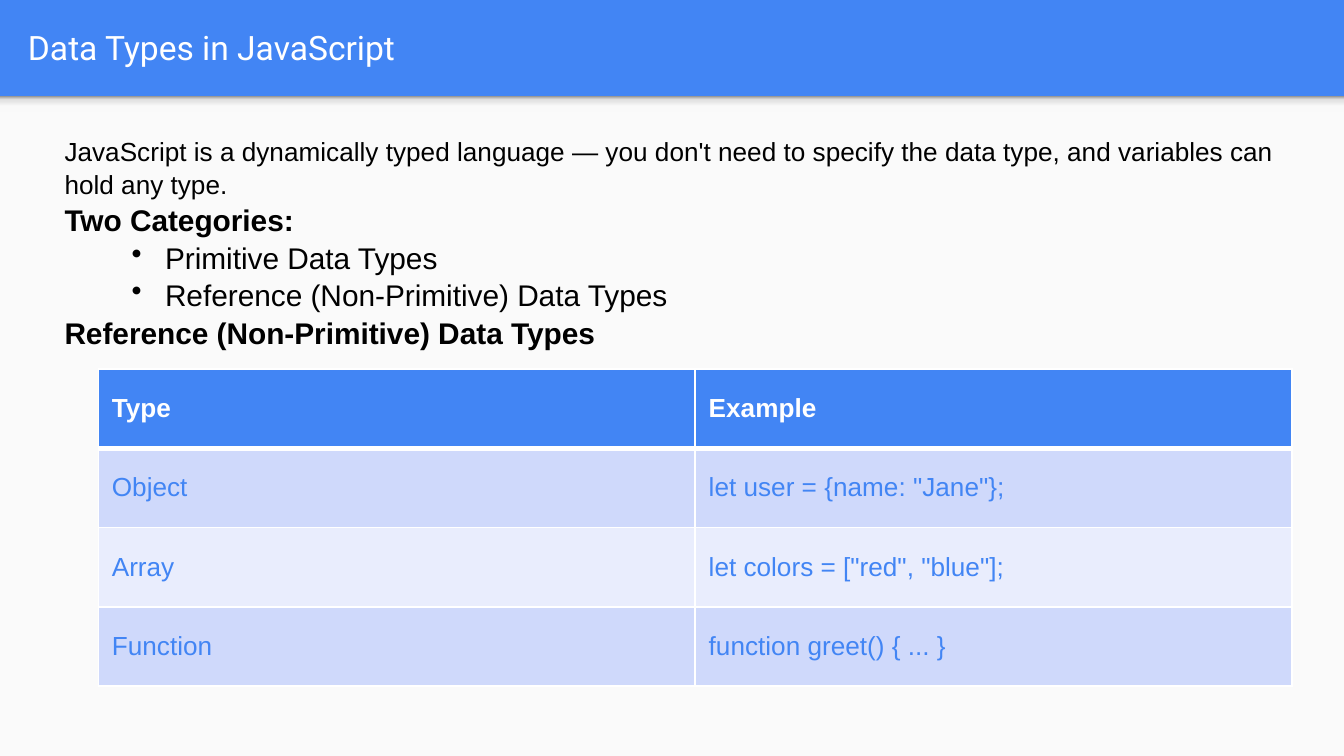
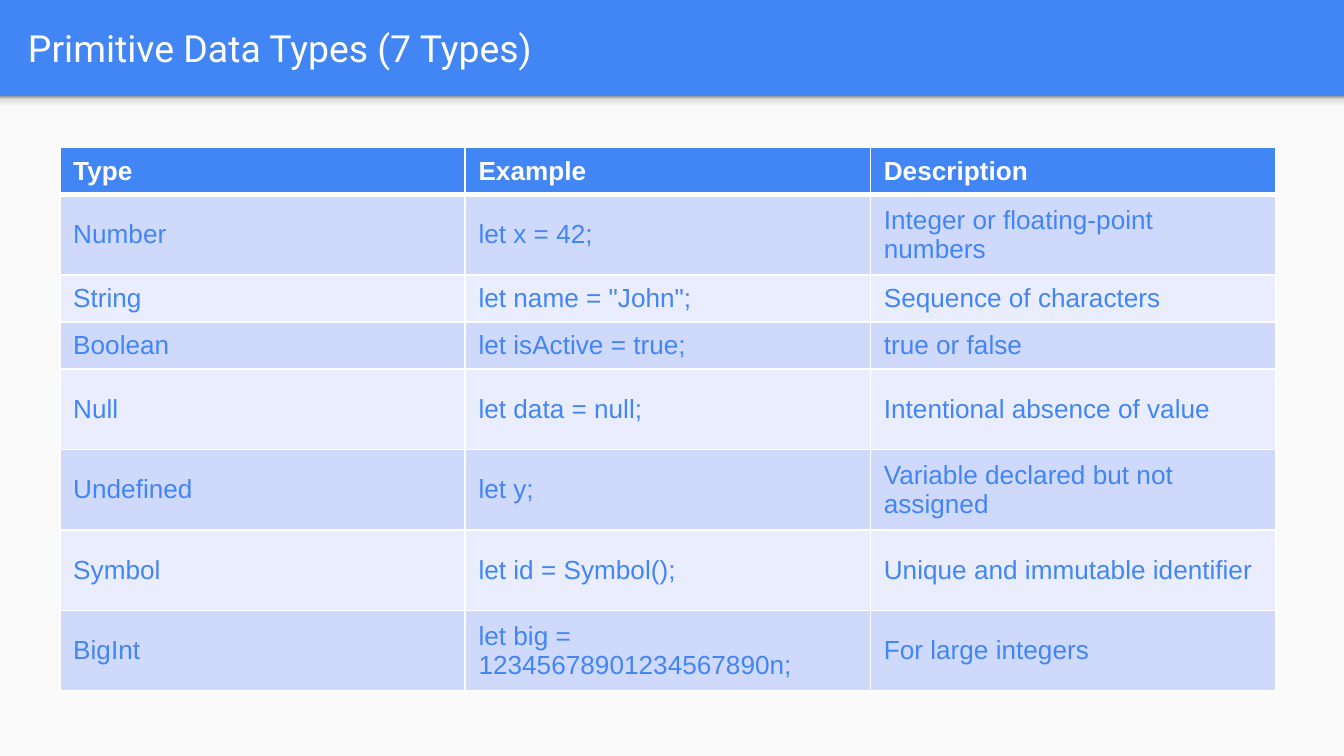
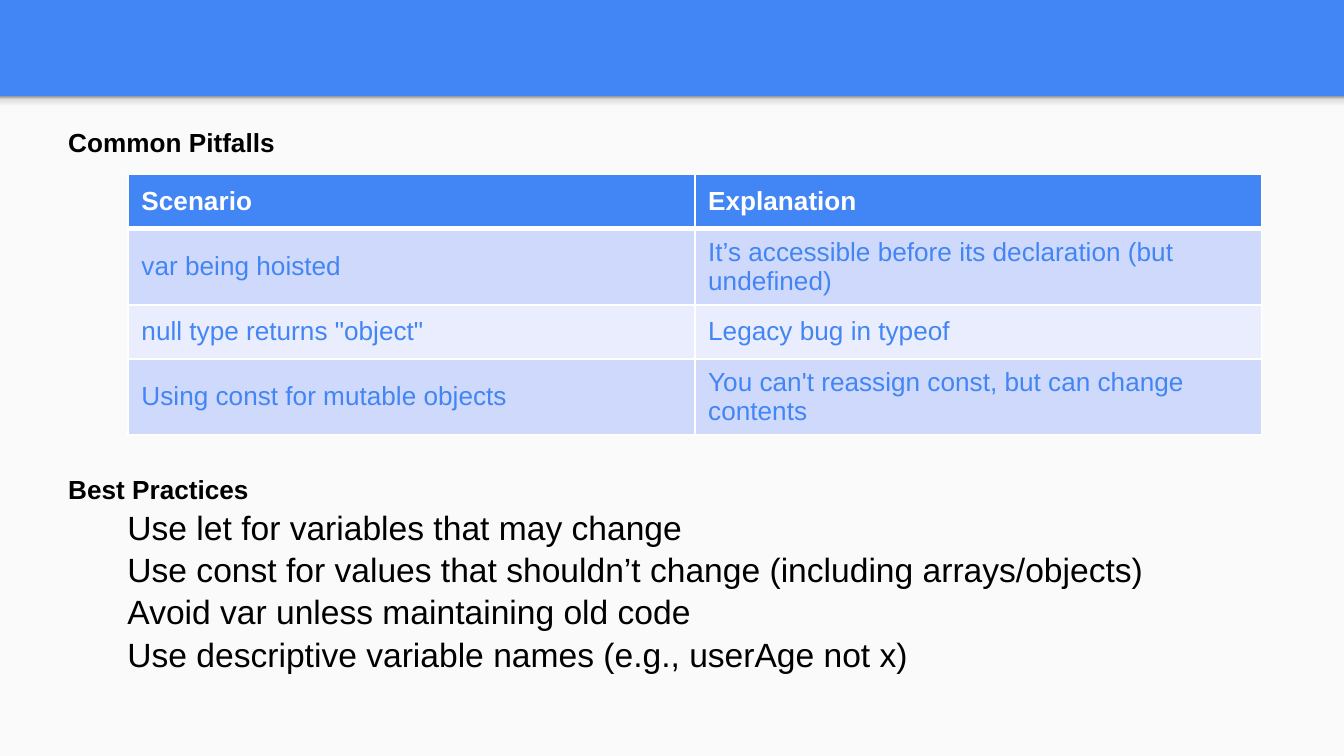
from dataclasses import dataclass

from lxml import etree
from pptx import Presentation
from pptx.dml.color import RGBColor
from pptx.enum.shapes import MSO_SHAPE
from pptx.enum.text import MSO_ANCHOR
from pptx.oxml.ns import qn
from pptx.util import Cm, Pt

RECT = MSO_SHAPE.RECTANGLE
MIDDLE = MSO_ANCHOR.MIDDLE
BLANK = 6


@dataclass(frozen=True)
class Theme:
    blue: str = "4285F4"
    paper: str = "FAFAFA"
    white: str = "FFFFFF"
    black: str = "000000"
    row_fills: tuple[str, str] = ("CFD9FB", "E9EDFD")
    shadow_stops: tuple[tuple[int, str], ...] = (
        (0, "F9F9F9"), (36, "F9F9F9"), (80, "DEDEDE"), (100, "999999"))
    title_font: str = "Roboto"
    body_font: str = "Arial"
    text_size: int = 14
    large_size: int = 16
    list_size: int = 18
    line_spacing: float = 1.05
    thin_border: int = 1
    thick_border: int = 3


THEME = Theme()


@dataclass(frozen=True)
class Box:
    left: float
    top: float
    width: float
    height: float

    def cm(self) -> tuple[Cm, Cm, Cm, Cm]:
        return Cm(self.left), Cm(self.top), Cm(self.width), Cm(self.height)


@dataclass(frozen=True)
class Line:
    text: str
    size: int = THEME.text_size
    bold: bool = False
    indent: float = 0
    hanging: float = 0
    space_before: int = 0


@dataclass(frozen=True)
class Grid:
    left: float
    top: float
    column_width: float
    row_heights: tuple[float, ...]
    rows: tuple[tuple[str, ...], ...]


SLIDE_WIDTH, SLIDE_HEIGHT, BAND_HEIGHT = 25.4, 14.29, 1.82
TITLE_BOX = Box(0.28, 0.05, 24.5, 1.68)
PANEL_BOX = Box(0, BAND_HEIGHT, SLIDE_WIDTH, SLIDE_HEIGHT - BAND_HEIGHT)
SHADOW_BOX = Box(0, BAND_HEIGHT, SLIDE_WIDTH, 0.3)


def apply_format(target, values: dict) -> None:
    for name, value in values.items():
        setattr(target, name, value)


def rgb(color: str) -> RGBColor:
    return RGBColor.from_string(color)


def add_run(p, text: str, size: int, color: str, font: str, bold: bool = False) -> None:
    r = p.add_run()
    r.text = text
    apply_format(r.font, {"size": Pt(size), "name": font, "bold": bold})
    r.font.color.rgb = rgb(color)


def add_rect(s, box: Box):
    sp = s.shapes.add_shape(RECT, *box.cm())
    sp.shadow.inherit = False
    sp.line.fill.background()
    return sp


def add_color(parent, color: str) -> None:
    etree.SubElement(parent, qn("a:srgbClr"), val=color)


def add_frame(s) -> None:
    panel = add_rect(s, PANEL_BOX)
    panel.fill.solid()
    panel.fill.fore_color.rgb = rgb(THEME.paper)

    shadow = add_rect(s, SHADOW_BOX)
    shadow.fill.gradient()
    shadow.fill.gradient_angle = 90
    stops = shadow.element.spPr.find(qn("a:gradFill")).find(qn("a:gsLst"))
    for stop in list(stops):
        stops.remove(stop)
    for percent, color in THEME.shadow_stops:
        add_color(etree.SubElement(stops, qn("a:gs"), pos=str(percent * 1000)), color)


def add_title(s, text: str, size: int) -> None:
    tf = s.shapes.add_textbox(*TITLE_BOX.cm()).text_frame
    sides = ("left", "top", "right", "bottom")
    apply_format(tf, {f"margin_{side}": Cm(0.25) for side in sides})
    apply_format(tf, {"word_wrap": True, "vertical_anchor": MIDDLE})
    add_run(tf.paragraphs[0], text, size, THEME.white, THEME.title_font)


def add_lines(s, box: Box, lines: tuple[Line, ...]) -> None:
    tf = s.shapes.add_textbox(*box.cm()).text_frame
    tf.word_wrap = True
    for i, line in enumerate(lines):
        p = tf.add_paragraph() if i else tf.paragraphs[0]
        if line.indent:
            p.level = 1
            pPr = p._p.get_or_add_pPr()
            pPr.set("marL", str(Cm(line.indent)))
            pPr.set("indent", str(-Cm(line.hanging)))
            if line.hanging:
                add_color(etree.SubElement(pPr, qn("a:buClr")), THEME.black)
                etree.SubElement(pPr, qn("a:buChar"), char="•")
        p.line_spacing = THEME.line_spacing
        if line.space_before:
            p.space_before = Pt(line.space_before)
        add_run(p, line.text, line.size, THEME.black, THEME.body_font, line.bold)


def add_borders(cell, row: int) -> None:
    tcPr = cell._tc.get_or_add_tcPr()
    thick_side = {0: "lnB", 1: "lnT"}.get(row)
    for side in ("lnL", "lnR", "lnT", "lnB"):
        points = THEME.thick_border if side == thick_side else THEME.thin_border
        ln = etree.SubElement(tcPr, qn(f"a:{side}"), w=str(Pt(points)))
        add_color(etree.SubElement(ln, qn("a:solidFill")), THEME.white)


def add_grid(s, grid: Grid) -> None:
    columns = len(grid.rows[0])
    box = Box(grid.left, grid.top, grid.column_width * columns, sum(grid.row_heights))
    table = s.shapes.add_table(len(grid.rows), columns, *box.cm()).table
    for column in table.columns:
        column.width = Cm(grid.column_width)
    for i, (height, texts) in enumerate(zip(grid.row_heights, grid.rows)):
        table.rows[i].height = Cm(height)
        header = i == 0
        fill = THEME.blue if header else THEME.row_fills[(i - 1) % 2]
        color = THEME.white if header else THEME.blue
        for j, text in enumerate(texts):
            cell = table.cell(i, j)
            cell.vertical_anchor = MIDDLE
            add_borders(cell, i)
            cell.fill.solid()
            cell.fill.fore_color.rgb = rgb(fill)
            add_run(cell.text_frame.paragraphs[0], text, THEME.text_size, color,
                    THEME.body_font, header)


def add_slide(prs):
    s = prs.slides.add_slide(prs.slide_layouts[BLANK])
    add_frame(s)
    return s


def build_overview(prs) -> None:
    s = add_slide(prs)
    add_title(s, "Data Types in JavaScript", 18)
    large = THEME.large_size
    add_lines(s, Box(0.97, 2.41, 23.83, 9.86), (
        Line("JavaScript is a dynamically typed language — you don't need to specify "
             "the data type, and variables can hold any type."),
        Line("Two Categories:", large, True),
        Line("Primitive Data Types", large, indent=1.9, hanging=0.63),
        Line("Reference (Non-Primitive) Data Types", large, indent=1.9, hanging=0.63),
        Line("Reference (Non-Primitive) Data Types", large, True),
    ))
    add_grid(s, Grid(1.86, 6.97, 11.28, (1.5,) * 4, (
        ("Type", "Example"),
        ("Object", 'let user = {name: "Jane"};'),
        ("Array", 'let colors = ["red", "blue"];'),
        ("Function", "function greet() { ... }"),
    )))


def build_primitives(prs) -> None:
    s = add_slide(prs)
    add_title(s, "Primitive Data Types (7 Types)", 20)
    low, high = 0.89, 1.52
    add_grid(s, Grid(1.13, 2.79, 7.66, (low, high, low, low, high, high, high, high), (
        ("Type", "Example", "Description"),
        ("Number", "let x = 42;", "Integer or floating-point numbers"),
        ("String", 'let name = "John";', "Sequence of characters"),
        ("Boolean", "let isActive = true;", "true or false"),
        ("Null", "let data = null;", "Intentional absence of value"),
        ("Undefined", "let y;", "Variable declared but not assigned"),
        ("Symbol", "let id = Symbol();", "Unique and immutable identifier"),
        ("BigInt", "let big = 12345678901234567890n;", "For large integers"),
    )))


def build_practices(prs) -> None:
    s = add_slide(prs)
    practices = (
        "Use let for variables that may change",
        "Use const for values that shouldn’t change (including arrays/objects)",
        "Avoid var unless maintaining old code",
        "Use descriptive variable names (e.g., userAge not x)",
    )
    add_lines(s, Box(1.04, 2.24, 23.24, 10.82), (
        Line("Common Pitfalls", bold=True),
        Line("Best Practices", bold=True, space_before=168),
        *(Line(text, THEME.list_size, indent=1.12) for text in practices),
    ))
    add_grid(s, Grid(2.42, 3.3, 10.71, (1.02, 1.36, 1.02, 1.36), (
        ("Scenario", "Explanation"),
        ("var being hoisted", "It’s accessible before its declaration (but undefined)"),
        ('null type returns "object"', "Legacy bug in typeof"),
        ("Using const for mutable objects",
         "You can't reassign const, but can change contents"),
    )))


def main() -> None:
    prs = Presentation()
    apply_format(prs, {"slide_width": Cm(SLIDE_WIDTH), "slide_height": Cm(SLIDE_HEIGHT)})
    background = prs.slide_master.background.fill
    background.solid()
    background.fore_color.rgb = rgb(THEME.blue)
    for build in (build_overview, build_primitives, build_practices):
        build(prs)
    prs.save("out.pptx")


if __name__ == "__main__":
    main()
